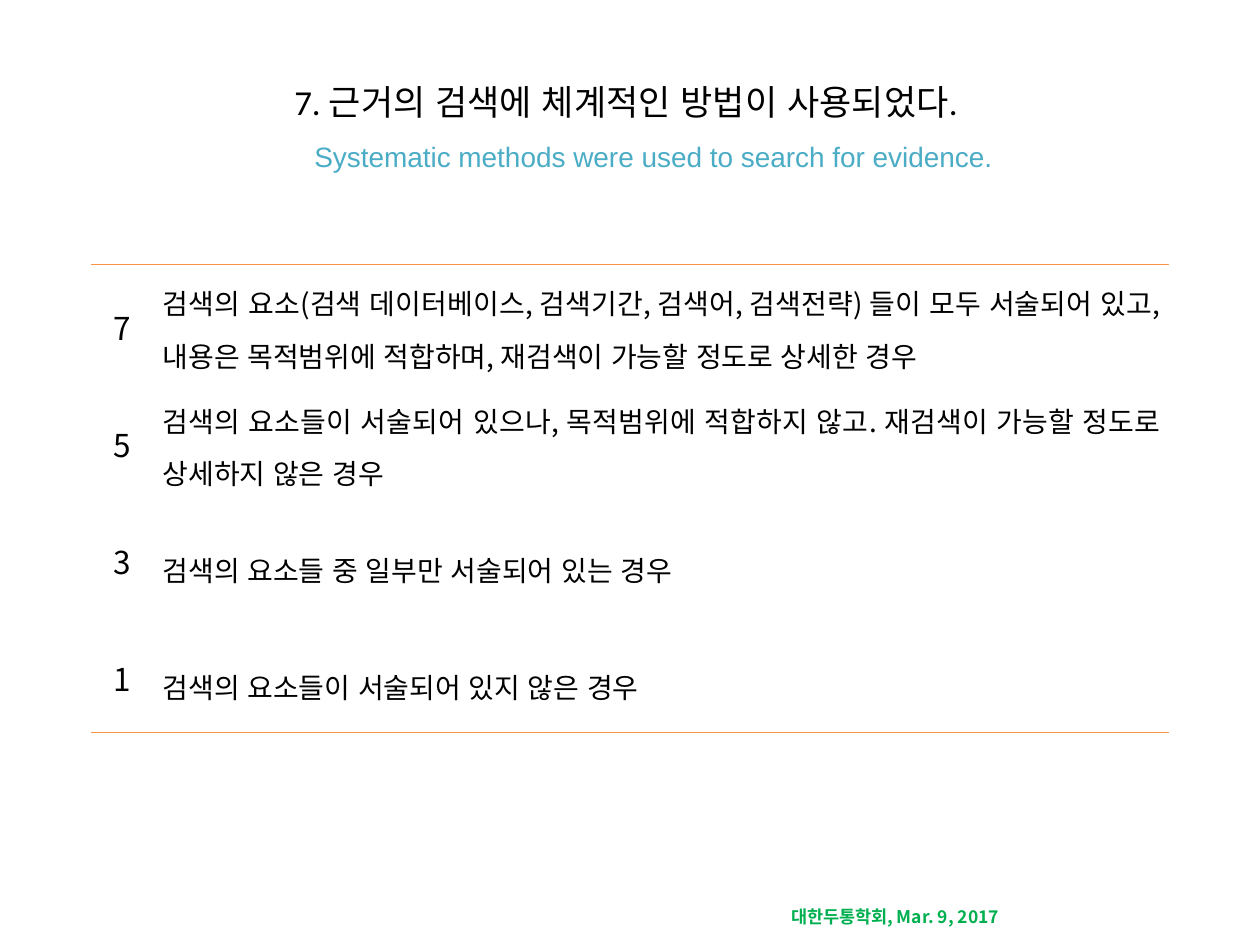
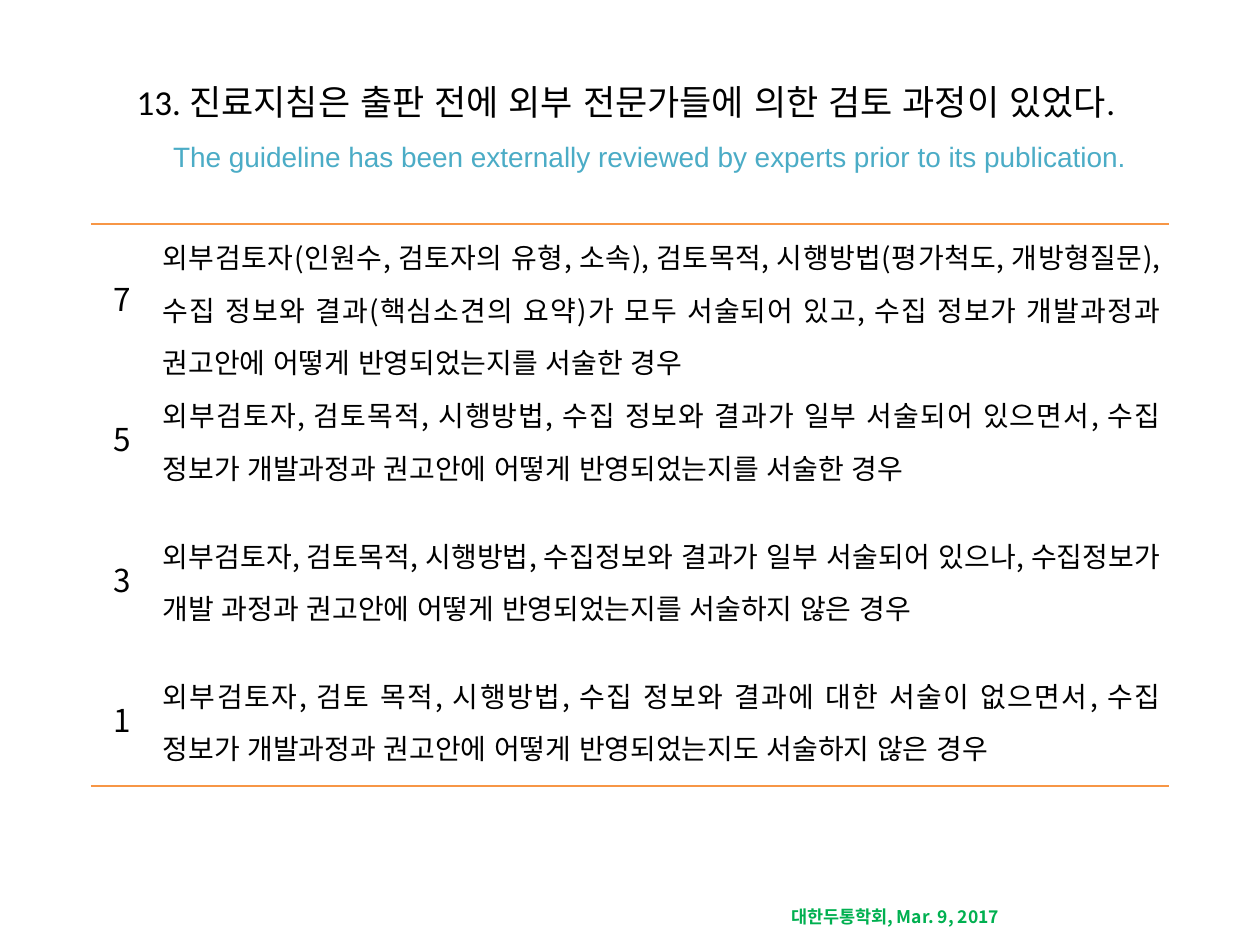
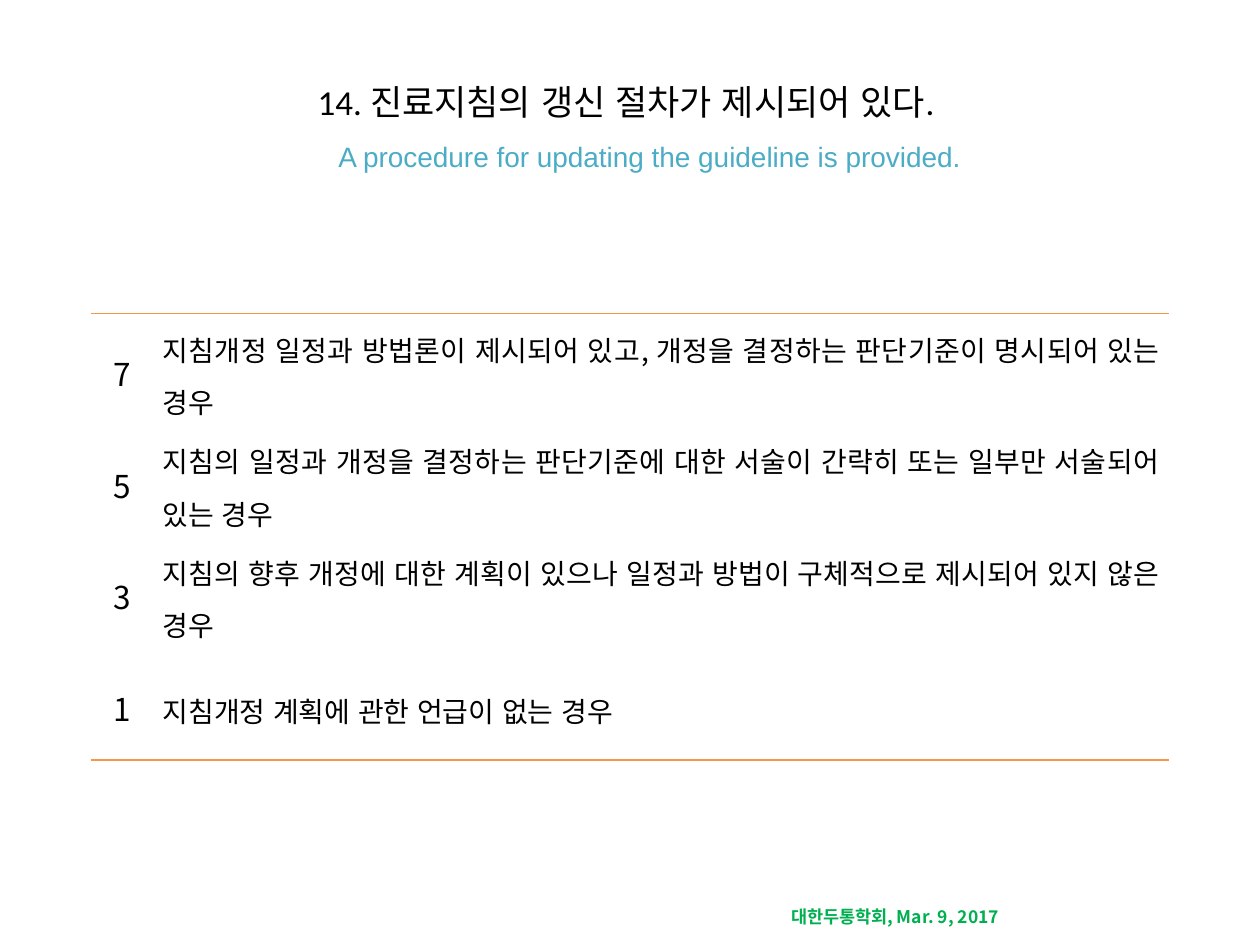
from dataclasses import dataclass

from lxml.etree import SubElement
from pptx import Presentation
from pptx.dml.color import RGBColor
from pptx.enum.lang import MSO_LANGUAGE_ID as Language
from pptx.enum.text import MSO_ANCHOR as Anchor, PP_ALIGN as Align
from pptx.oxml import parse_xml
from pptx.oxml.ns import nsdecls, qn
from pptx.util import Cm, Pt

BLACK = "000000"
TEAL = "4BACC6"
ORANGE = "F79646"
GREEN = "00B050"
KOREAN_FONT = "Noto Sans CJK KR"
FOOTER = "대한두통학회, Mar. 9, 2017"
SCORES = ("7", "5", "3", "1")
NO_TABLE_STYLE = "{2D5ABB26-0587-4C30-8999-92F81FD0307C}"

TITLE_BOX = (1.27, 0.76, 22.86, 3.18)
FOOTER_BOX = (15.7, 18.14, 5.59, 0.69)
TABLE_LEFT = 1.83
COLUMN_WIDTHS = (1.27, 20.47)
HANGING_INDENT = Cm(0.95)


@dataclass
class Rubric:
    title: str
    subtitle: str
    table_top: float
    row_height: float
    criteria: tuple
    line_spacings: tuple = (1.3, 1.3, 1.3, 1.3)


RUBRICS = (
    Rubric(
        "7. 근거의 검색에 체계적인 방법이 사용되었다. ",
        "Systematic methods were used to search for evidence.",
        5.33, 2.36,
        (
            "검색의 요소(검색 데이터베이스, 검색기간, 검색어, 검색전략) 들이 모두 서술되어 있고, "
            "내용은 목적범위에 적합하며, 재검색이 가능할 정도로 상세한 경우",
            "검색의 요소들이 서술되어 있으나, 목적범위에 적합하지 않고. "
            "재검색이 가능할 정도로 상세하지 않은 경우",
            "검색의 요소들 중 일부만 서술되어 있는 경우",
            "검색의 요소들이 서술되어 있지 않은 경우",
        ),
        (1.3, 1.3, 1.6, 1.6),
    ),
    Rubric(
        "13. 진료지침은 출판 전에 외부 전문가들에 의한 검토 과정이 있었다. ",
        "The guideline has been externally reviewed by experts prior to its publication. ",
        4.52, 2.83,
        (
            "외부검토자(인원수, 검토자의 유형, 소속), 검토목적, 시행방법(평가척도, 개방형질문), "
            "수집 정보와 결과(핵심소견의 요약)가 모두 서술되어 있고, "
            "수집 정보가 개발과정과 권고안에 어떻게 반영되었는지를 서술한 경우",
            "외부검토자, 검토목적, 시행방법, 수집 정보와 결과가 일부 서술되어 있으면서, "
            "수집 정보가 개발과정과 권고안에 어떻게 반영되었는지를 서술한 경우",
            "외부검토자, 검토목적, 시행방법, 수집정보와 결과가 일부 서술되어 있으나, "
            "수집정보가 개발 과정과 권고안에 어떻게 반영되었는지를 서술하지 않은 경우",
            "외부검토자, 검토 목적, 시행방법, 수집 정보와 결과에 대한 서술이 없으면서, "
            "수집 정보가 개발과정과 권고안에 어떻게 반영되었는지도 서술하지 않은 경우",
        ),
    ),
    Rubric(
        "14. 진료지침의 갱신 절차가 제시되어 있다. ",
        "A procedure for updating the guideline is provided. ",
        6.32, 2.25,
        (
            "지침개정 일정과 방법론이 제시되어 있고, 개정을 결정하는 판단기준이 명시되어 있는 경우",
            "지침의 일정과 개정을 결정하는 판단기준에 대한 서술이 간략히 또는 일부만 서술되어 있는 경우",
            "지침의 향후 개정에 대한 계획이 있으나 일정과 방법이 구체적으로 제시되어 있지 않은 경우",
            "지침개정 계획에 관한 언급이 없는 경우",
        ),
    ),
)


def color(hex_value):
    return RGBColor.from_string(hex_value)


def format_run(run, size, hex_value=BLACK, name=KOREAN_FONT, bold=False):
    font = run.font
    font.size = Pt(size)
    font.bold = bold
    font.name = name
    font.color.rgb = color(hex_value)
    font.language_id = Language.KOREAN
    SubElement(run._r.rPr, qn("a:ea"), typeface=KOREAN_FONT)


def add_text_box(slide, box, text):
    text_frame = slide.shapes.add_textbox(*map(Cm, box)).text_frame
    text_frame.word_wrap = True
    text_frame.text = text
    return text_frame


def add_title(slide, box, title, subtitle):
    text_frame = add_text_box(slide, box, f"{title}\v{subtitle}")
    text_frame.vertical_anchor = Anchor.MIDDLE
    paragraph = text_frame.paragraphs[0]
    paragraph.alignment = Align.CENTER
    paragraph.line_spacing = 1.5
    properties = paragraph._p.get_or_add_pPr()
    properties.set("marL", str(HANGING_INDENT))
    properties.set("indent", str(-HANGING_INDENT))
    title_run, subtitle_run = paragraph.runs
    format_run(title_run, 20, name="Calibri")
    format_run(subtitle_run, 16, TEAL, "Arial")


def add_footer(slide, box):
    text_frame = add_text_box(slide, box, FOOTER)
    format_run(text_frame.paragraphs[0].runs[0], 10, GREEN, bold=True)


def add_border(cell, side):
    border = parse_xml(
        f'<a:{side} {nsdecls("a")} w="{Pt(1)}"><a:solidFill>'
        f'<a:srgbClr val="{ORANGE}"/></a:solidFill></a:{side}>'
    )
    cell._tc.get_or_add_tcPr().insert(0, border)


def fill_cell(cell, text, size, alignment, line_spacing):
    cell.fill.background()
    cell.vertical_anchor = Anchor.MIDDLE
    cell.margin_left = cell.margin_right = Cm(0.18)
    cell.margin_top = cell.margin_bottom = 0
    cell.text = text
    paragraph = cell.text_frame.paragraphs[0]
    paragraph.alignment = alignment
    paragraph.line_spacing = line_spacing
    format_run(paragraph.runs[0], size)


def add_score_table(slide, left, top, rubric):
    row_count = len(SCORES)
    table = slide.shapes.add_table(
        row_count, len(COLUMN_WIDTHS), Cm(left), Cm(top),
        Cm(sum(COLUMN_WIDTHS)), Cm(rubric.row_height * row_count),
    ).table
    table.first_row = table.horz_banding = False
    table._tbl.tblPr[0].text = NO_TABLE_STYLE
    for column, width in zip(table.columns, COLUMN_WIDTHS):
        column.width = Cm(width)
    rows = zip(table.rows, SCORES, rubric.criteria, rubric.line_spacings)
    for row, score, criterion, line_spacing in rows:
        row.height = Cm(rubric.row_height)
        score_cell, criterion_cell = row.cells
        fill_cell(score_cell, score, 18, Align.CENTER, 1.15)
        fill_cell(criterion_cell, criterion, 16, Align.JUSTIFY, line_spacing)
    for column_index in range(len(COLUMN_WIDTHS)):
        add_border(table.cell(0, column_index), "lnT")
        add_border(table.cell(row_count - 1, column_index), "lnB")


def add_rubric_slide(presentation, rubric):
    slide = presentation.slides.add_slide(presentation.slide_layouts[6])
    add_footer(slide, FOOTER_BOX)
    add_title(slide, TITLE_BOX, rubric.title, rubric.subtitle)
    add_score_table(slide, TABLE_LEFT, rubric.table_top, rubric)


def main():
    presentation = Presentation()
    presentation.slide_width = Cm(25.4)
    presentation.slide_height = Cm(19.05)
    for rubric in RUBRICS:
        add_rubric_slide(presentation, rubric)
    presentation.save("out.pptx")


if __name__ == "__main__":
    main()
